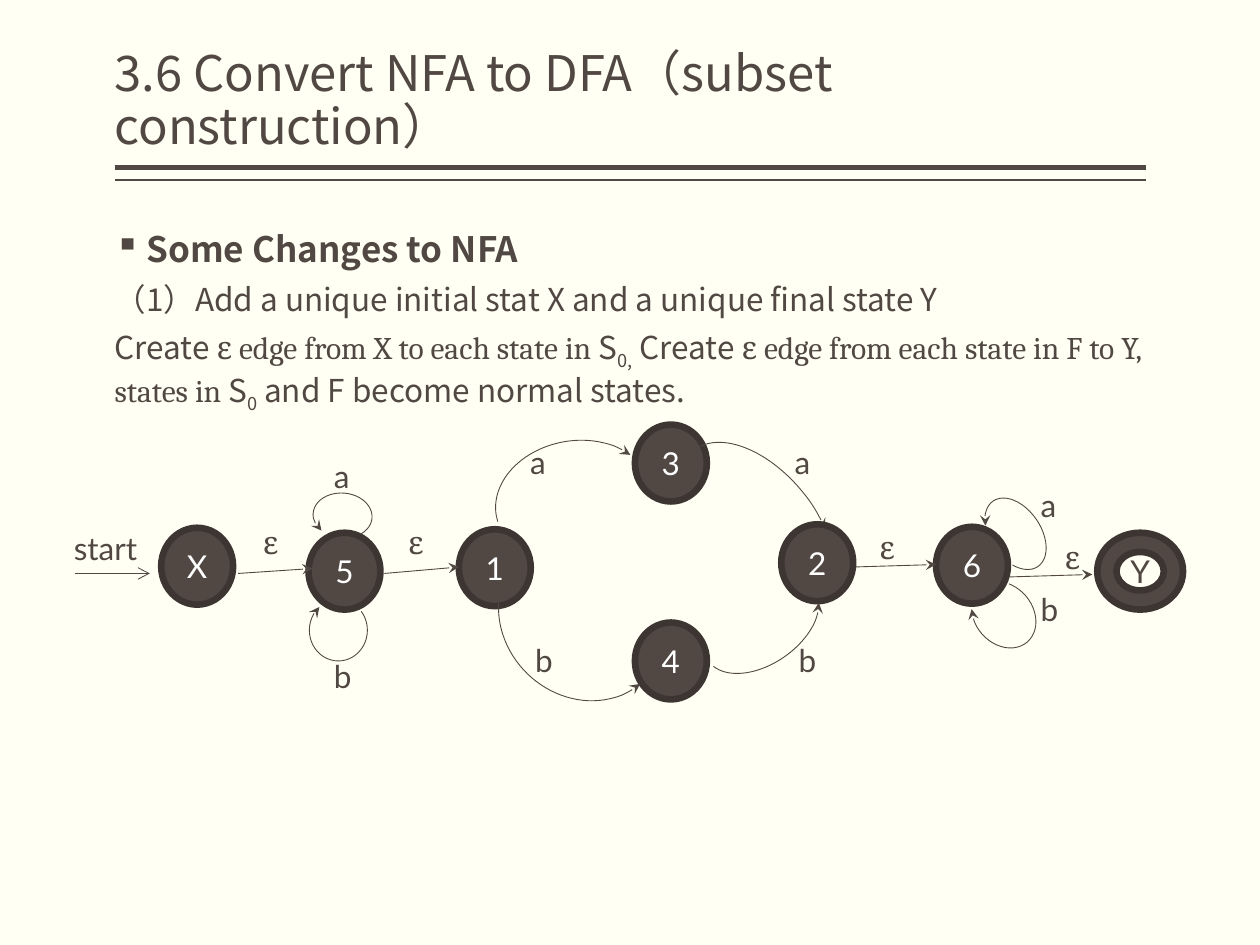
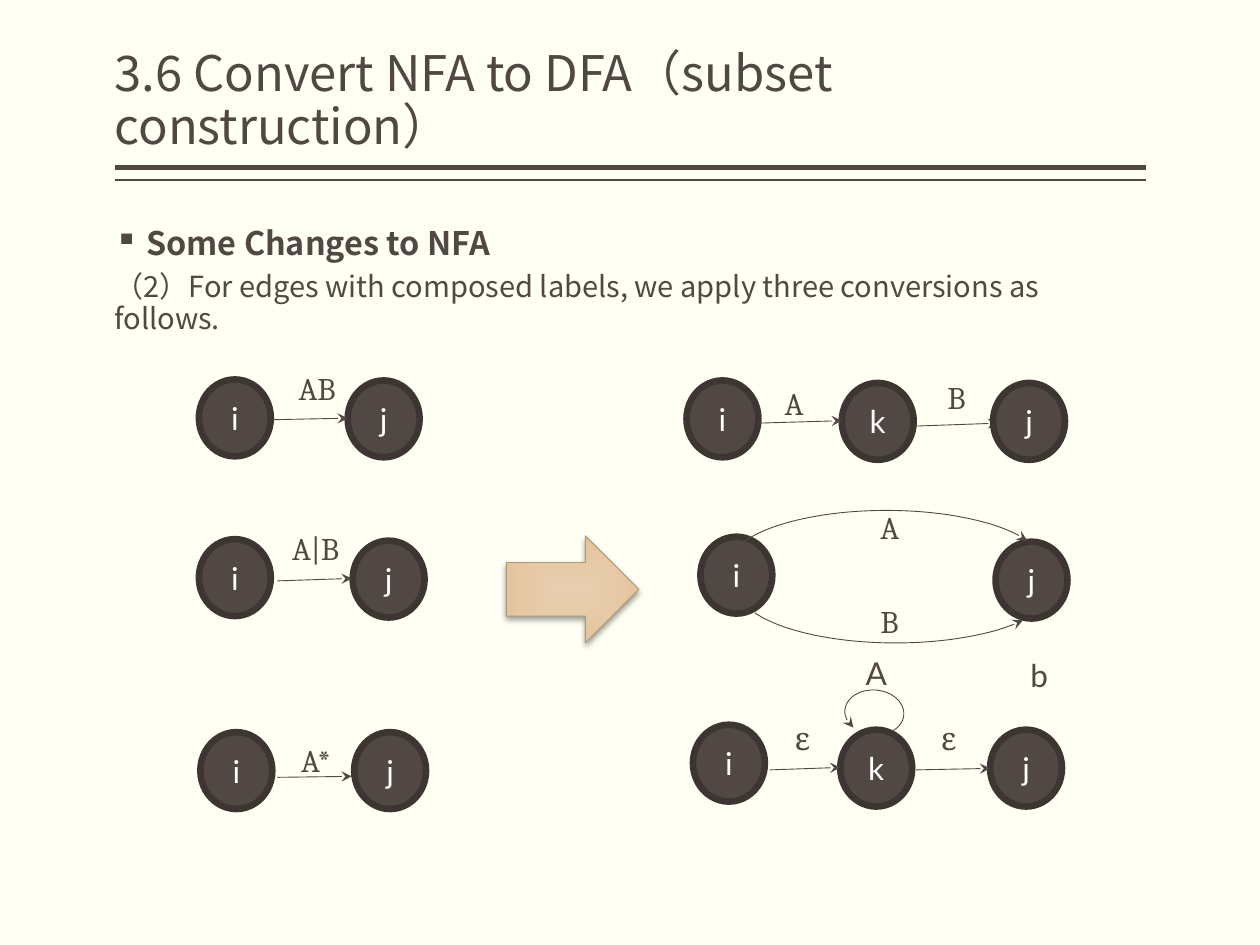
"""Two slides on preparing an NFA for the subset construction."""
from lxml.etree import SubElement
from pptx import Presentation
from pptx.dml.color import RGBColor
from pptx.enum.shapes import MSO_CONNECTOR, MSO_SHAPE
from pptx.enum.text import MSO_ANCHOR, MSO_AUTO_SIZE, PP_ALIGN
from pptx.oxml.ns import qn
from pptx.util import Cm, Pt

COLORS = {
    "paper": "FFFFF3", "ink": "514843", "rim": "3C3532", "node_text": "FFFFFF",
    "arrow_light": "E8CEAF", "arrow_dark": "E4C49D", "arrow_line": "AB977A",
    "shadow": "000000",
}
SANS, SERIF, LABEL = "Noto Sans CJK SC", "Cambria", "Lato"
LEFT, WIDTH = 2.31, 20.8
NODE_SIZE = (1.45, 1.55)
LABEL_HEIGHT = 1.02
LABEL_WIDTHS = {"a": 0.89, "b": 0.89, "ε": 0.79, "A": 0.91, "B": 0.91,
                "AB": 1.3, "A|B": 1.5, "A*": 1.14, "start": 1.85}
RULES = [(3.38, 3), (3.63, 1)]

TITLE = "3.6 Convert NFA to DFA（subset construction）"
HEADING = "Some Changes to NFA"

SLIDES = [
    {
        "body_height": 12.7, "heading_size": 20, "text_size": 18, "spacing": 1.0,
        "paragraphs": [
            [("（1）Add a unique initial stat X and a unique final state Y", SANS, False)],
            [("Create ", SANS, False),
             ("ε edge from X to each state in ", SERIF, False),
             ("S", SANS, False), ("0,", SANS, True),
             (" Create ", SANS, False),
             ("ε edge from each state in F to Y, states in ", SERIF, False),
             ("S", SANS, False), ("0", SANS, True),
             (" and F become normal states.", SANS, False)],
        ],
        "nodes": [("X", 3.25, 10.64), ("5", 6.22, 10.74), ("1", 9.25, 10.67),
                  ("3", 12.8, 8.56), ("4", 12.8, 12.55), ("6", 18.87, 10.62)],
        "front_nodes": [("2", 15.75, 10.57)],
        "final_nodes": [("Y", 22.12, 10.74, 1.73, 1.55)],
        "arcs": [
            (13.31, 9.45, 3.91, 2.24, 49.3, 110.15, 188.75, "tail"),
            (9.98, 8.89, 3.18, 2.44, 349.3, 105.5, 198.7, "tail"),
            (9.96, 10.85, 3.56, 3.18, 224.2, 110.97, 195.21, "head"),
            (14.05, 11.79, 2.59, 1.6, 145.6, 116.2, 211.95, "head"),
            (19.96, 9.96, 1.02, 1.6, 145.6, 29.7, 185.9, "head"),
            (19.51, 11.81, 1.45, 1.17, 49.3, 138.14, 84.42, "tail"),
            (6.45, 9.8, 0.91, 1.19, 95, 29.7, 185.9, "head"),
            (6.2, 12.12, 1.24, 1.17, 90, 138.14, 84.42, "tail"),
        ],
        "edges": [
            (1.52, 11.56, 3.02, 11.56, "arrow"),
            (4.8, 11.56, 6.3, 11.46, "stealth"),
            (7.75, 11.56, 9.25, 11.43, "stealth"),
            (17.2, 11.43, 18.87, 11.38, "stealth"),
            (20.35, 11.63, 22.02, 11.58, "stealth"),
        ],
        "labels": {
            LABEL: [("start", 1.24, 10.54), ("a", 6.48, 9.09), ("b", 6.48, 13.13),
                    ("a", 10.44, 8.81), ("b", 10.54, 12.8),
                    ("a", 15.77, 8.81), ("b", 15.85, 12.8),
                    ("a", 20.73, 9.68), ("b", 20.73, 11.76)],
            SERIF: [("ε", 5.05, 10.41), ("ε", 7.98, 10.41),
                    ("ε", 17.48, 10.52), ("ε", 21.21, 10.72)],
        },
        "block_arrows": [],
    },
    {
        "body_height": 2.59, "heading_size": 18.5, "text_size": 16.6, "spacing": 0.9,
        "paragraphs": [
            [("（2）For edges with composed labels, we apply three conversions as follows.",
              SANS, False)],
        ],
        "nodes": [("i", 4.01, 7.65), ("j", 7.01, 7.67), ("i", 13.84, 7.67), ("k", 16.97, 7.72),
                  ("i", 4.01, 10.87), ("j", 7.11, 10.9), ("i", 14.12, 10.82), ("j", 20.07, 10.92),
                  ("i", 4.04, 14.76), ("j", 7.14, 14.76),
                  ("i", 13.97, 14.61), ("k", 16.94, 14.71), ("j", 19.96, 14.71)],
        "front_nodes": [("j", 20.02, 7.72)],
        "final_nodes": [],
        "arcs": [
            (14.68, 10.29, 6.38, 2.24, 0, 113.81, 209.87, "tail"),
            (14.86, 10.72, 6.38, 2.24, 180, 116.7, 209.87, "head"),
            (17.17, 13.77, 0.91, 1.19, 95, 29.7, 185.9, "head"),
        ],
        "edges": [
            (5.51, 8.46, 7.01, 8.43, "stealth"),
            (15.29, 8.53, 16.97, 8.48, "stealth"),
            (18.44, 8.59, 20.12, 8.53, "stealth"),
            (5.59, 11.71, 7.09, 11.66, "stealth"),
            (5.59, 15.67, 7.09, 15.65, "stealth"),
            (15.52, 15.52, 16.94, 15.47, "stealth"),
            (18.47, 15.52, 19.96, 15.49, "stealth"),
        ],
        "labels": {
            SERIF: [("AB", 5.77, 7.32), ("A", 15.57, 7.62), ("B", 18.85, 7.49),
                    ("A|B", 5.64, 10.54), ("A", 17.5, 10.11), ("B", 17.5, 12.01),
                    ("A*", 5.82, 14.81), ("ε", 15.77, 14.38), ("ε", 18.72, 14.38)],
            LABEL: [("A", 17.2, 13.06), ("b", 20.52, 13.11)],
        },
        "block_arrows": [(10.21, 10.8, 2.67, 2.16)],
    },
]


def color(name):
    return RGBColor.from_string(COLORS[name])


def set_font(font, name, size, color_name):
    font.name, font.size = name, Pt(size)
    font.color.rgb = color(color_name)


def set_line(line, color_name, width, end=None, arrow="stealth"):
    line.color.rgb = color(color_name)
    line.width = Pt(width)
    if end:
        SubElement(line._get_or_add_ln(), qn(f"a:{end}End"), type=arrow)


def prepare_frame(frame, anchor):
    frame.word_wrap = True
    frame.auto_size = MSO_AUTO_SIZE.NONE
    frame.vertical_anchor = anchor
    frame.margin_left = frame.margin_right = 0
    frame.margin_top = frame.margin_bottom = Cm(0.13)


def add_line(slide, x1, y1, x2, y2, width, end=None, arrow="stealth"):
    line = slide.shapes.add_connector(MSO_CONNECTOR.STRAIGHT, Cm(x1), Cm(y1), Cm(x2), Cm(y2))
    set_line(line.line, "ink", width, end, arrow)
    SubElement(line._element.spPr, qn("a:effectLst"))


def add_plain_shape(slide, kind, *box):
    shape = slide.shapes.add_shape(kind, *map(Cm, box))
    shape.shadow.inherit = False
    return shape


def add_title(slide):
    title = slide.shapes.title
    title.left, title.top, title.width, title.height = map(Cm, (LEFT, 0.2, WIDTH, 3.05))
    prepare_frame(title.text_frame, MSO_ANCHOR.BOTTOM)
    title.text_frame.text = TITLE
    paragraph = title.text_frame.paragraphs[0]
    paragraph.alignment = PP_ALIGN.LEFT
    paragraph.line_spacing = 0.9
    set_font(paragraph.font, SANS, 28, "ink")
    for y, width in RULES:
        add_line(slide, LEFT, y, LEFT + WIDTH, y, width)


def add_body(slide, content):
    body = slide.shapes.add_textbox(*map(Cm, (LEFT, 4.45, WIDTH, content["body_height"])))
    frame = body.text_frame
    prepare_frame(frame, MSO_ANCHOR.TOP)
    heading = frame.paragraphs[0]
    heading.text = HEADING
    heading.line_spacing = content["spacing"]
    properties = heading._p.get_or_add_pPr()
    properties.set("marL", str(Cm(0.64)))
    properties.set("indent", str(-Cm(0.64)))
    SubElement(properties, qn("a:buChar"), char="▪")
    set_font(heading.font, SANS, content["heading_size"], "ink")
    heading.font.bold = True
    for runs in content["paragraphs"]:
        paragraph = frame.add_paragraph()
        paragraph.space_before = Pt(6)
        paragraph.line_spacing = content["spacing"]
        set_font(paragraph.font, SANS, content["text_size"], "ink")
        for text, font_name, subscript in runs:
            run = paragraph.add_run()
            run.text = text
            if font_name != SANS:
                run.font.name = font_name
            if subscript:
                run._r.get_or_add_rPr().set("baseline", "-25000")


def add_node(slide, text, x, y, width=NODE_SIZE[0], height=NODE_SIZE[1],
             kind=MSO_SHAPE.OVAL, text_color="node_text"):
    node = add_plain_shape(slide, kind, x, y, width, height)
    node.fill.solid()
    node.fill.fore_color.rgb = color("ink")
    set_line(node.line, "rim", 3.78)
    node.text_frame.text = text
    node.text_frame.vertical_anchor = MSO_ANCHOR.MIDDLE
    paragraph = node.text_frame.paragraphs[0]
    paragraph.alignment = PP_ALIGN.CENTER
    set_font(paragraph.font, LABEL, 18, text_color)


def add_arc(slide, x, y, width, height, rotation, start, stop, end):
    arc = add_plain_shape(slide, MSO_SHAPE.ARC, x, y, width, height)
    arc.rotation = rotation
    arc.adjustments[0], arc.adjustments[1] = start, stop
    arc.fill.background()
    set_line(arc.line, "ink", 0.5, end)


def add_label(slide, text, x, y, font_name):
    label = slide.shapes.add_textbox(Cm(x), Cm(y), Cm(LABEL_WIDTHS[text]), Cm(LABEL_HEIGHT))
    frame = label.text_frame
    frame.word_wrap = False
    frame.auto_size = MSO_AUTO_SIZE.SHAPE_TO_FIT_TEXT
    frame.text = text
    set_font(frame.paragraphs[0].font, font_name, 18, "ink")


def add_block_arrow(slide, *box):
    arrow = add_plain_shape(slide, MSO_SHAPE.RIGHT_ARROW, *box)
    arrow.fill.gradient()
    for stop, name in zip(arrow.fill.gradient_stops, ("arrow_light", "arrow_dark")):
        stop.color.rgb = color(name)
    properties = arrow._element.spPr
    gradient = properties.find(qn("a:gradFill"))
    gradient.remove(gradient.find(qn("a:lin")))
    shading = SubElement(gradient, qn("a:path"), {"path": "rect"})
    SubElement(shading, qn("a:fillToRect"), dict.fromkeys("ltrb", "50000"))
    set_line(arrow.line, "arrow_line", 0.5)
    shadow = SubElement(properties.find(qn("a:effectLst")), qn("a:outerShdw"),
                        blurRad=str(Pt(3.5)), dist=str(Pt(2)), dir="5400000", rotWithShape="0")
    shade = SubElement(shadow, qn("a:srgbClr"), val=COLORS["shadow"])
    SubElement(shade, qn("a:alpha"), val="38000")


def add_diagram(slide, content):
    for node in content["nodes"]:
        add_node(slide, *node)
    for node in content["final_nodes"]:
        add_node(slide, *node, kind=MSO_SHAPE.DONUT, text_color="ink")
    for arc in content["arcs"]:
        add_arc(slide, *arc)
    for x1, y1, x2, y2, arrow in content["edges"]:
        add_line(slide, x1, y1, x2, y2, 0.5, "tail", arrow)
    for node in content["front_nodes"]:
        add_node(slide, *node)
    for font_name, labels in content["labels"].items():
        for label in labels:
            add_label(slide, *label, font_name)
    for box in content["block_arrows"]:
        add_block_arrow(slide, *box)


def main():
    presentation = Presentation()
    presentation.slide_width, presentation.slide_height = Cm(25.4), Cm(19.05)
    background = presentation.slide_master.background.fill
    background.solid()
    background.fore_color.rgb = color("paper")
    for content in SLIDES:
        slide = presentation.slides.add_slide(presentation.slide_layouts[5])
        add_title(slide)
        add_body(slide, content)
        add_diagram(slide, content)
    presentation.save("out.pptx")


if __name__ == "__main__":
    main()
